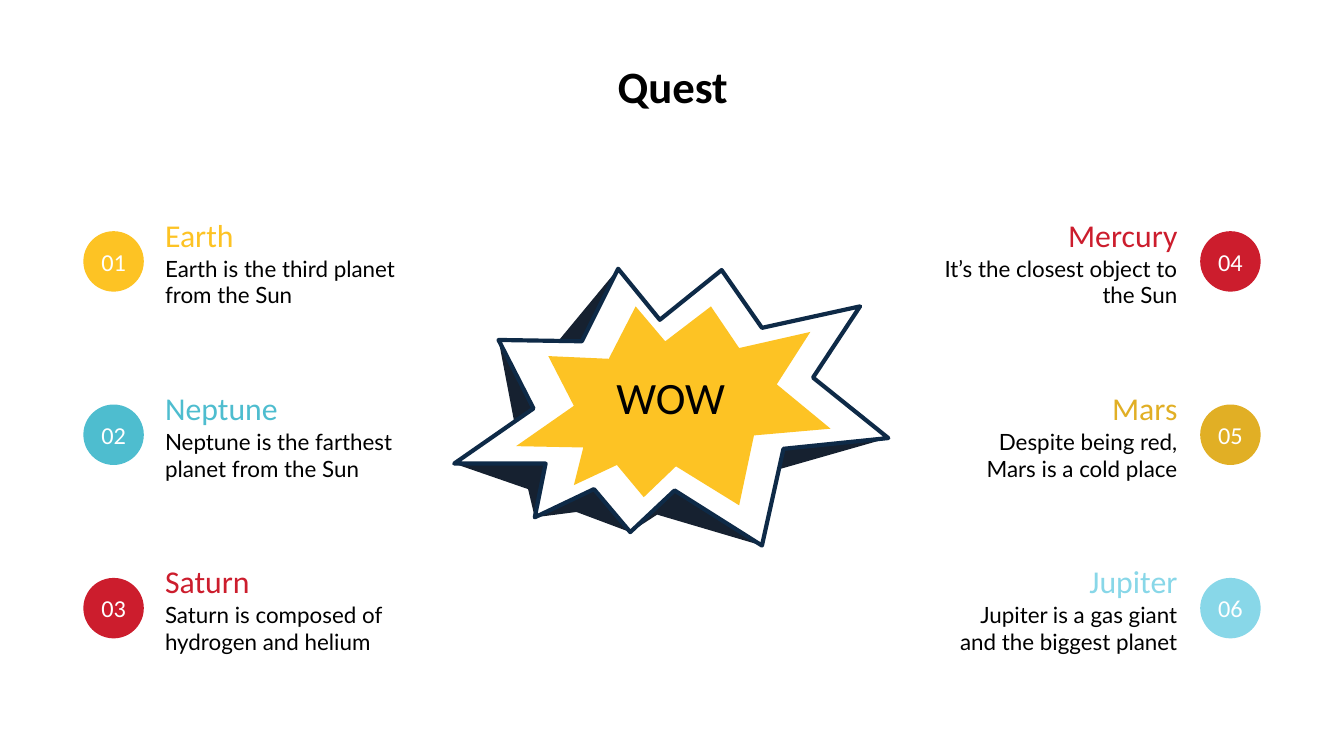
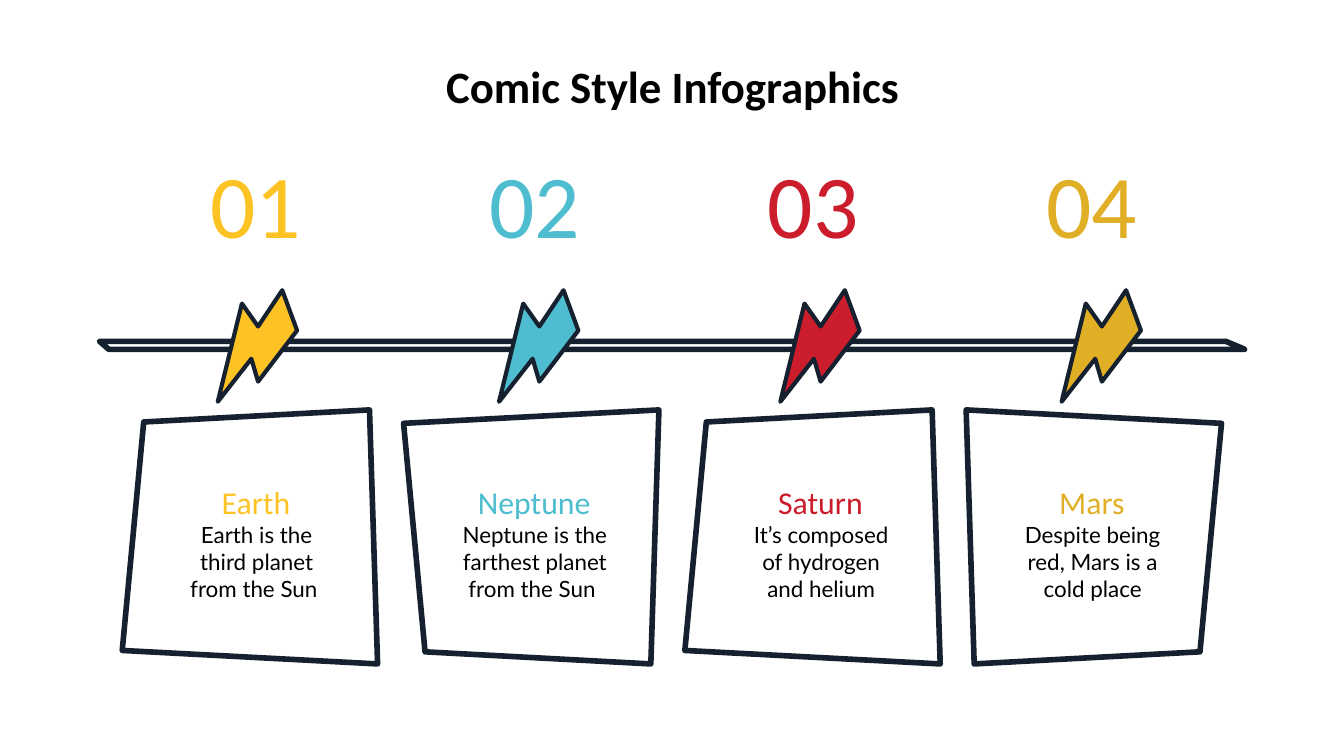
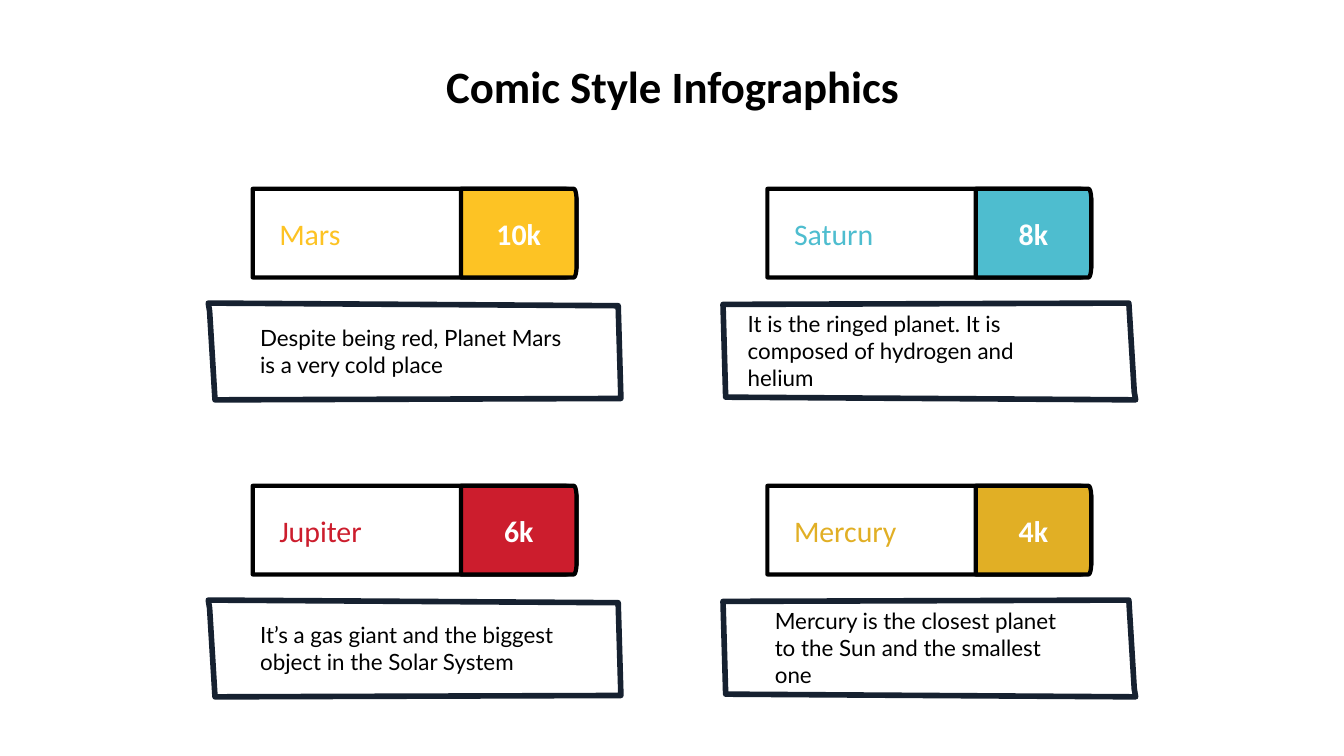
from math import cos, pi, sin

from lxml import etree
from pptx import Presentation
from pptx.dml.color import RGBColor
from pptx.enum.shapes import MSO_SHAPE
from pptx.enum.text import MSO_ANCHOR as ANCHOR, MSO_AUTO_SIZE as AUTO_SIZE, PP_ALIGN as ALIGN
from pptx.oxml.ns import qn
from pptx.util import Inches, Pt

# The grid has square cells: 100 columns by 56.25 rows. All lengths are in cells.
WIDTH, HEIGHT = Inches(10), Inches(5.625)
CELL = WIDTH // 100

BLACK, WHITE, INK, NAVY = "000000", "FFFFFF", "162130", "0E2A47"
YELLOW, TEAL, RED, GOLD, SKY = "FDC324", "4EBDCF", "CC1D2D", "E1AF25", "88D7E8"
HEAD_FONT, BODY_FONT = "Calibri", "Lato"
TITLE_ONLY = 5

STAR_SHADOW = [(12.2, 0), (6.9, 6.4), (3.3, 5.3), (4.6, 12.1), (0, 14.5), (5.5, 16.4),
               (6, 18.5), (9.1, 18.1), (13.1, 19.6), (15.1, 18.3), (22.9, 20.6),
               (23.2, 15.2), (32.3, 12.6), (25.4, 9.9), (28.9, 4.6), (21.6, 6.2),
               (18.6, 1.9), (14, 5.6)]
STAR_RIM = [(12.2, 0), (9.5, 5.4), (3.3, 5.3), (5.9, 10.4), (0, 14.5), (6.8, 14.5),
            (6, 18.5), (10.4, 16.4), (13.1, 19.6), (16.4, 16.5), (22.9, 20.6),
            (24.5, 13.4), (32.3, 12.6), (26.7, 8.1), (30.2, 2.8), (22.9, 4.4),
            (19.9, 0.1), (15.3, 3.8)]
STAR_CORE = [(13.5, 2.8), (11.5, 6.7), (7, 6.5), (8.9, 10.2), (4.6, 13.2), (9.6, 13.3),
             (8.9, 16.1), (12.1, 14.6), (14.1, 17), (16.5, 14.7), (21.2, 17.6),
             (22.3, 12.4), (28, 11.9), (24, 8.6), (26.5, 4.7), (21.2, 5.9),
             (19.1, 2.8), (15.7, 5.4)]
BAR = [(83.8, 0), (0, 0), (0.7, 0.6), (85.2, 0.6), (85, 0.5)]
BOLT = [(5.9, 3), (3, 6.8), (2.5, 5.1), (0, 8.3), (1.8, 1), (3, 2.7), (4.8, 0)]
PANEL = [(0, 17.9), (19, 18.9), (18.4, 0), (1.6, 0.9)]
PLATE = [(30.2, 0), (0, 0.1), (0.2, 7), (30.7, 7.2), (30.6, 6.6)]


def cells(*lengths):
    return [round(length * CELL) for length in lengths]


def rgb(color):
    return RGBColor.from_string(color)


def write(frame, text, size, color, font=HEAD_FONT, bold=False, align=ALIGN.LEFT,
          anchor=ANCHOR.MIDDLE, left=1, right=1):
    """Fill a text frame with one evenly formatted paragraph."""
    frame.word_wrap = True
    frame.auto_size = AUTO_SIZE.NONE
    frame.vertical_anchor = anchor
    frame.margin_left, frame.margin_top, frame.margin_right, frame.margin_bottom = cells(
        left, 1, right, 1)
    para = frame.paragraphs[0]
    para.text = text
    para.alignment = align
    para.font.name, para.font.size, para.font.bold = font, Pt(size), bold
    para.font.color.rgb = rgb(color)


def add_text(page, box, text, size, color, **style):
    write(page.shapes.add_textbox(*cells(*box)).text_frame, text, size, color, **style)


def paint(shape, fill, line=None, weight=2.25):
    shape.shadow.inherit = False
    shape.fill.solid()
    shape.fill.fore_color.rgb = rgb(fill)
    if line is None:
        shape.line.fill.background()
        return
    shape.line.color.rgb = rgb(line)
    shape.line.width = Pt(weight)
    etree.SubElement(shape.line._get_or_add_ln(), qn("a:round"))


def add_outline(page, x, y, points, fill, line=None, weight=2.25):
    """Draw a closed outline whose points are relative to (x, y)."""
    corners = [cells(x + dx, y + dy) for dx, dy in points]
    builder = page.shapes.build_freeform(*corners[0])
    builder.add_line_segments(corners[1:], close=True)
    shape = builder.convert_to_shape()
    paint(shape, fill, line, weight)
    return shape


def mirror(points, across=False, down=False):
    width, height = (max(axis) for axis in zip(*points))
    return [(width - x if across else x, height - y if down else y) for x, y in points]


def rounded_end(width, height, depth, rise=0.8, steps=6):
    """Rectangle whose two right corners are quarter ellipses of depth by rise."""
    angles = [pi / 2 * step / steps for step in range(steps + 1)]
    lower = [(width - depth + depth * sin(a), height - rise + rise * cos(a)) for a in angles]
    upper = [(x, height - y) for x, y in reversed(lower)]
    return [(0, 0), (0, height), *lower, *upper]


def add_page(deck, title):
    page = deck.slides.add_slide(deck.slide_layouts[TITLE_ONLY])
    holder = page.shapes.title
    holder.left, holder.top, holder.width, holder.height = cells(2, 3.4, 96.1, 6.3)
    write(holder.text_frame, title, 24, BLACK, bold=True, align=ALIGN.CENTER,
          anchor=ANCHOR.TOP)
    return page


def add_quest_entry(page, x, y, number, name, body, color, on_right):
    align = ALIGN.RIGHT if on_right else ALIGN.LEFT
    badge_x, text_x = (x + 22.1, x) if on_right else (x, x + 5.1)
    add_text(page, (text_x, y, 21.4, 4.7), name, 17, color, align=align)
    add_text(page, (text_x, y + 2.95, 21.4, 5.8), body, 12, BLACK, font=BODY_FONT, align=align)
    badge = page.shapes.add_shape(MSO_SHAPE.OVAL, *cells(badge_x, y + 2.1, 4.5, 4.5))
    paint(badge, color)
    write(badge.text_frame, f"{number:02}", 13, WHITE, align=ALIGN.CENTER, left=0, right=0)


def add_burst(page, x, y):
    add_outline(page, x, y, STAR_SHADOW, INK)
    add_outline(page, x, y, STAR_RIM, WHITE, NAVY)
    add_outline(page, x, y, STAR_CORE, YELLOW)
    add_text(page, (x + 10.2, y + 6, 11.8, 7), "WOW", 24, BLACK, align=ALIGN.CENTER)


def quest_slide(deck):
    entries = [
        ("Earth", "Earth is the third planet from the Sun", YELLOW),
        ("Neptune", "Neptune is the farthest planet from the Sun", TEAL),
        ("Saturn", "Saturn is composed of hydrogen and helium", RED),
        ("Mercury", "It’s the closest object to the Sun", RED),
        ("Mars", "Despite being red,\nMars is a cold place", GOLD),
        ("Jupiter", "Jupiter is a gas giant\nand the biggest planet", SKY),
    ]
    page = add_page(deck, "Quest")
    for index, entry in enumerate(entries):
        side, row = divmod(index, 3)
        add_quest_entry(page, (6.2, 67.2)[side], 15.1 + 12.9 * row, index + 1, *entry,
                        on_right=side == 1)
    add_burst(page, 33.8, 20)


def add_timeline_step(page, index, label_x, name, body, color):
    shift = 20.93 * index
    add_outline(page, 16.2 + shift, 21.6, BOLT, color, INK)
    panel = mirror(PANEL, across=index == 3, down=index % 2 == 1)
    add_outline(page, 9.1 + shift, 30.5, panel, WHITE, INK, 3)
    add_text(page, (label_x, 35, 16.3, 4.7), name, 17, color, align=ALIGN.CENTER)
    add_text(page, (label_x + 1.3, 38.9, 13.8, 5.8), body, 12, BLACK, font=BODY_FONT,
             align=ALIGN.CENTER)
    add_text(page, (10.9 + 20.73 * index, 8.7, 16.3, 12.8), f"{index + 1:02}", 48, color,
             align=ALIGN.CENTER)


def timeline_slide(deck):
    steps = [
        (10.9, "Earth", "Earth is the third planet from the Sun ", YELLOW),
        (31.6, "Neptune", "Neptune is the farthest planet from the Sun ", TEAL),
        (52.9, "Saturn", "It’s composed of hydrogen and helium", RED),
        (73.1, "Mars", "Despite being red, Mars is a cold place", GOLD),
    ]
    page = add_page(deck, "Comic Style Infographics")
    add_outline(page, 7.4, 25.4, BAR, WHITE, INK, 3)
    for index, step in enumerate(steps):
        add_timeline_step(page, index, *step)


def add_value_card(page, x, y, name, value, body, color, turned, indent):
    plate = mirror(PLATE, across=turned, down=turned)
    add_outline(page, x, y + 8.5, plate, WHITE, INK, 3)
    add_text(page, (x + 0.85, y + 9.3, 28.9, 5.5), body, 12, BLACK, font=BODY_FONT,
             left=indent, right=3)
    add_outline(page, x + 3.3, y, rounded_end(24.1, 6.6, 0.8), WHITE, BLACK)
    add_text(page, (x + 4.3, y + 1, 13.7, 4.7), name, 16, color)
    cap = add_outline(page, x + 18.8, y, rounded_end(8.6, 6.6, 0.2), color, BLACK)
    write(cap.text_frame, value, 16, WHITE, bold=True, align=ALIGN.CENTER)


def values_slide(deck):
    cards = [
        ("Mars", "10k", "Despite being red, Planet Mars is a very cold place", YELLOW),
        ("Saturn", "8k", "It is the ringed planet. It is composed of hydrogen and helium", TEAL),
        ("Jupiter", "6k", "It’s a gas giant and the biggest object in the Solar System", RED),
        ("Mercury", "4k", "Mercury is the closest planet to the Sun and the smallest one", GOLD),
    ]
    page = add_page(deck, "Comic Style Infographics")
    for index, card in enumerate(cards):
        row, column = divmod(index, 2)
        add_value_card(page, 15.5 + 38.3 * column, 14.05 + 22.1 * row, *card,
                       turned=column == 0, indent=1 if card[0] == "Saturn" else 3)


def main():
    deck = Presentation()
    deck.slide_width, deck.slide_height = WIDTH, HEIGHT
    quest_slide(deck)
    timeline_slide(deck)
    values_slide(deck)
    deck.save("out.pptx")


if __name__ == "__main__":
    main()
